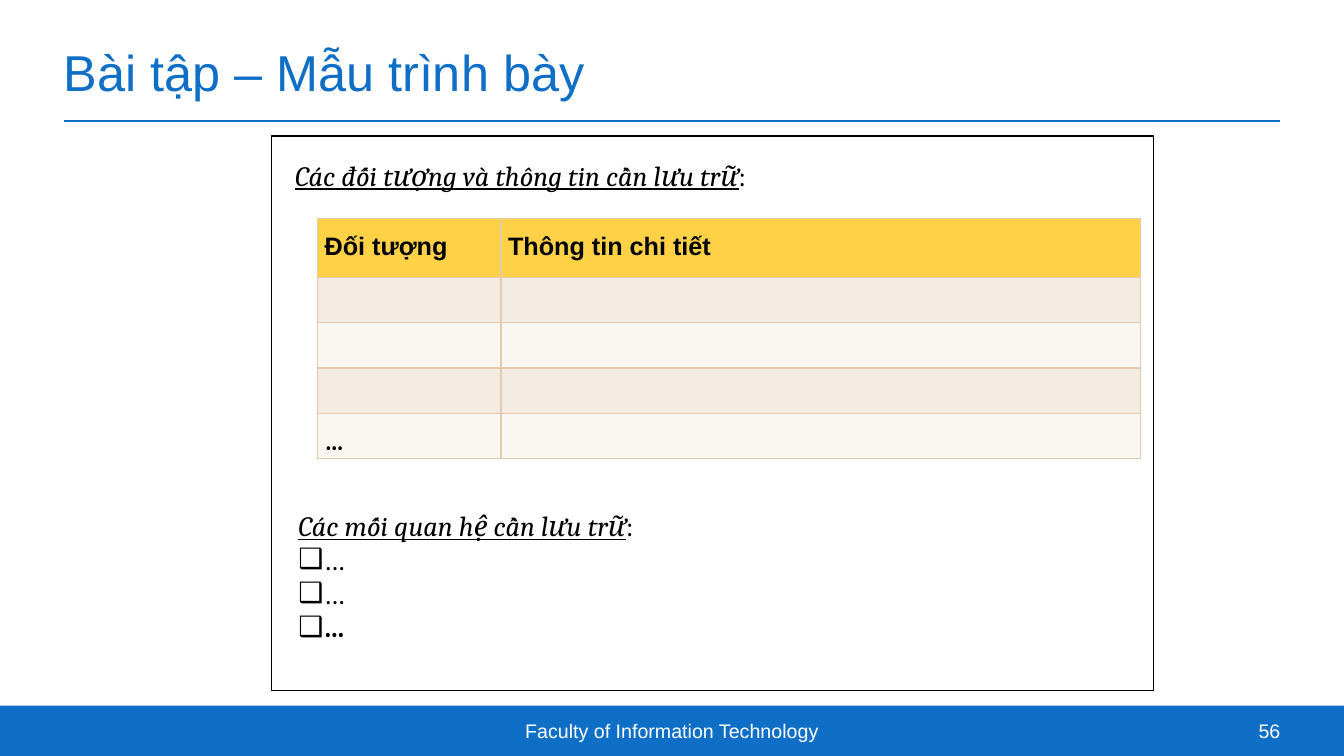
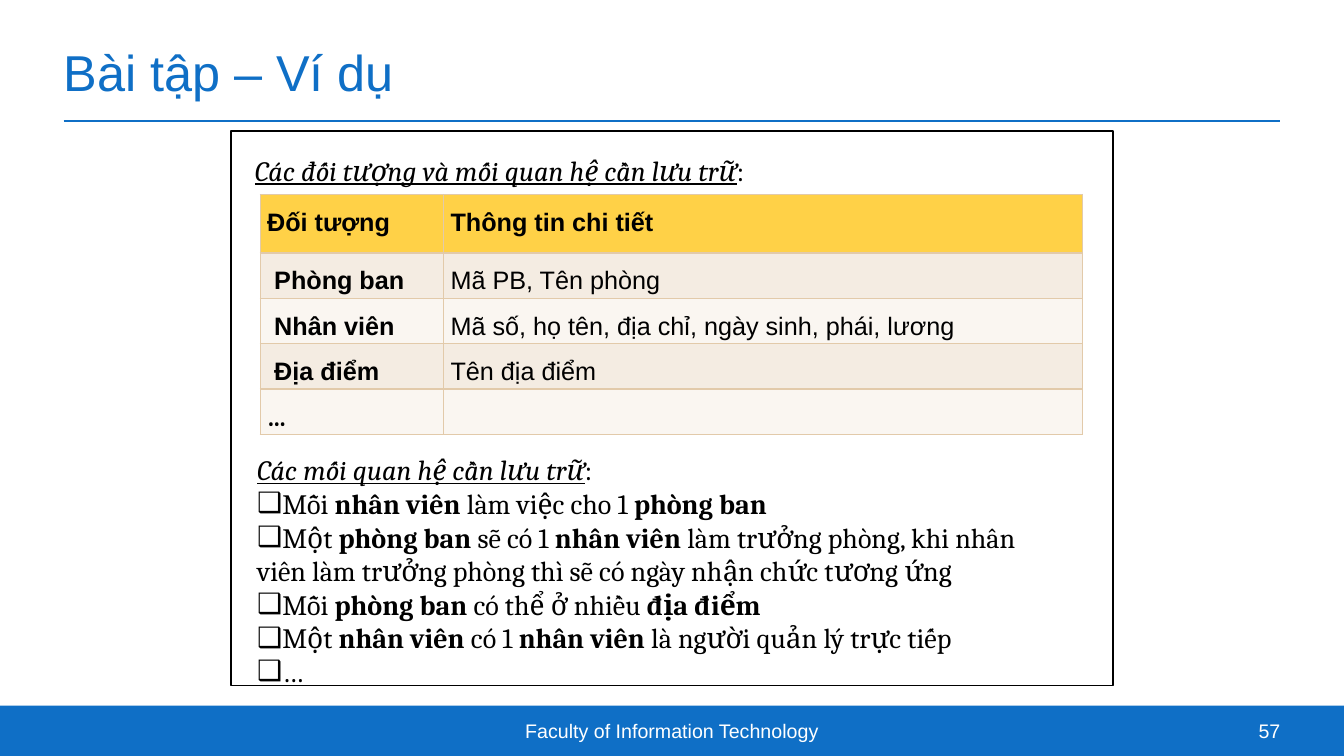
from lxml import etree
from pptx import Presentation
from pptx.dml.color import RGBColor
from pptx.enum.shapes import MSO_CONNECTOR, MSO_SHAPE
from pptx.enum.text import MSO_ANCHOR, MSO_AUTO_SIZE, PP_ALIGN
from pptx.oxml.ns import qn
from pptx.util import Inches, Pt

RECTANGLE = MSO_SHAPE.RECTANGLE
STRAIGHT = MSO_CONNECTOR.STRAIGHT
MIDDLE = MSO_ANCHOR.MIDDLE
NO_FIT = MSO_AUTO_SIZE.NONE
LEFT, CENTER, RIGHT, JUSTIFY = PP_ALIGN.LEFT, PP_ALIGN.CENTER, PP_ALIGN.RIGHT, PP_ALIGN.JUSTIFY

BLUE, WHITE, BLACK = "0F6FC6", "FFFFFF", "000000"
HEADER_FILL, BORDER = "FFD147", "E2CAAA"
ROW_FILLS = ("F4ECE2", "FAF6F1")

PAGE_WIDTH, PAGE_HEIGHT = 13.33, 7.5
MARGIN, BAND_TOP, BAND_HEIGHT = 0.63, 7, 0.5
FRAME_SIZE = (8.75, 5.5)
COLUMNS, HEADER_ROW, BODY_ROW = (1.82, 6.34), 0.58, 0.45

TITLE_FONT = {"name": "Arial", "size": Pt(36), "color": BLUE}
FOOTER_FONT = {"name": "Arial", "size": Pt(14), "color": WHITE}
CELL_FONT = {"name": "Arial", "size": Pt(18), "color": BLACK}
NOTE_FONT = {"name": "Cambria", "size": Pt(20), "color": BLACK}
HEADING_FONT = {**NOTE_FONT, "italic": True, "underline": True}

HEADERS = ("Đối tượng", "Thông tin chi tiết")
RELATIONS_HEADING = "Các mối quan hệ cần lưu trữ"
FOOTER = "Faculty of Information Technology"

PAGES = [
    {
        "number": 56,
        "title": "Bài tập – Mẫu trình bày",
        "frame": (2.69, 1.35),
        "heading": "Các đối tượng và thông tin cần lưu trữ",
        "table_offset": (0.46, 0.82),
        "rows": [("", ""), ("", ""), ("", ""), ("…", "")],
        "list_box": (0.17, 3.64, 8.26, 1.45),
        "relations": ["…", "…", "*…*"],
    },
    {
        "number": 57,
        "title": "Bài tập – Ví dụ",
        "frame": (2.29, 1.3),
        "heading": "Các đối tượng và mối quan hệ cần lưu trữ",
        "table_offset": (0.29, 0.63),
        "rows": [
            ("Phòng ban", "Mã PB, Tên phòng"),
            ("Nhân viên", "Mã số, họ tên, địa chỉ, ngày sinh, phái, lương"),
            ("Địa điểm", "Tên địa điểm"),
            ("…", ""),
        ],
        "list_box": (0.16, 3.13, 8.26, 2.46),
        "relations": [
            "Mỗi *nhân viên *làm việc cho 1 *phòng ban*",
            "Một *phòng ban *sẽ có 1 *nhân viên *làm trưởng phòng, khi nhân viên "
            "làm trưởng phòng thì sẽ có ngày nhận chức tương ứng",
            "Mỗi *phòng ban *có thể ở nhiều *địa điểm*",
            "Một *nhân viên *có 1 *nhân viên *là người quản lý trực tiếp",
            "…",
        ],
    },
]


def color(value):
    return RGBColor.from_string(value)


def add_span(para, text, style):
    span = para.add_run()
    span.text = text
    for key, value in style.items():
        if key == "color":
            span.font.color.rgb = color(value)
        else:
            setattr(span.font, key, value)


def set_frame(frame, inset=None, anchor=None):
    frame.word_wrap = True
    frame.auto_size = NO_FIT
    if anchor is not None:
        frame.vertical_anchor = anchor
    if inset is not None:
        for side in ("left", "top", "right", "bottom"):
            setattr(frame, f"margin_{side}", Inches(inset))


def place(shape, box):
    for key, value in zip(("left", "top", "width", "height"), box):
        setattr(shape, key, Inches(value))


def add_text_box(page, box):
    return page.shapes.add_textbox(*map(Inches, box)).text_frame


def add_heading(para, text):
    add_span(para, text, HEADING_FONT)
    add_span(para, ":", NOTE_FONT)


def add_rectangle(page, box):
    shape = page.shapes.add_shape(RECTANGLE, *map(Inches, box))
    shape.shadow.inherit = False
    return shape


def decorate_layout(layout, page):
    band = add_rectangle(page, (0, BAND_TOP, PAGE_WIDTH, BAND_HEIGHT))
    band.fill.solid()
    band.fill.fore_color.rgb = color(BLUE)
    band.line.fill.background()
    ends = (MARGIN, 1.2, PAGE_WIDTH - MARGIN, 1.2)
    rule = page.shapes.add_connector(STRAIGHT, *map(Inches, ends))
    rule.line.color.rgb = color(BLUE)
    rule.line.width = Pt(1)
    etree.SubElement(rule.element.spPr, qn("a:effectLst"))
    for part in (band, rule):
        layout.shapes.element.append(part.element)


def add_title(page, text):
    title = page.shapes.title
    place(title, (MARGIN, 0.23, PAGE_WIDTH - 2 * MARGIN, 0.96))
    set_frame(title.text_frame, 0, MIDDLE)
    para = title.text_frame.paragraphs[0]
    para.alignment = LEFT
    add_span(para, text, TITLE_FONT)


def add_footer(page, number):
    for left, width, text, alignment in (
        (4.44, 4.45, FOOTER, CENTER),
        (12, 0.7, str(number), RIGHT),
    ):
        frame = add_text_box(page, (left, BAND_TOP, width, BAND_HEIGHT))
        set_frame(frame, 0, MIDDLE)
        frame.paragraphs[0].alignment = alignment
        add_span(frame.paragraphs[0], text, FOOTER_FONT)


def add_outline(page, box):
    outline = add_rectangle(page, box)
    outline.fill.background()
    outline.line.color.rgb = color(BLACK)
    outline.line.width = Pt(1)


def set_borders(cell):
    properties = cell._tc.get_or_add_tcPr()
    for index, tag in enumerate(("a:lnL", "a:lnR", "a:lnT", "a:lnB")):
        line = etree.Element(qn(tag), w=str(Pt(1)))
        fill = etree.SubElement(line, qn("a:solidFill"))
        etree.SubElement(fill, qn("a:srgbClr"), val=BORDER)
        properties.insert(index, line)


def fill_cell(cell, text, fill, style, indent):
    cell.fill.solid()
    cell.fill.fore_color.rgb = color(fill)
    set_borders(cell)
    cell.margin_left, cell.margin_right = Inches(indent), Inches(0.07)
    cell.margin_top = cell.margin_bottom = 0
    para = cell.text_frame.paragraphs[0]
    para.alignment = JUSTIFY
    if text:
        para.line_spacing = 1.5
        add_span(para, text, style)


def add_object_table(page, left, top, rows):
    height = HEADER_ROW + BODY_ROW * len(rows)
    box = (left, top, sum(COLUMNS), height)
    table = page.shapes.add_table(len(rows) + 1, len(COLUMNS), *map(Inches, box)).table
    table.horz_banding = False
    for column, width in zip(table.columns, COLUMNS):
        column.width = Inches(width)
    for row_index, texts in enumerate([HEADERS, *rows]):
        header = row_index == 0
        table.rows[row_index].height = Inches(HEADER_ROW if header else BODY_ROW)
        fill = HEADER_FILL if header else ROW_FILLS[(row_index - 1) % 2]
        for column_index, text in enumerate(texts):
            name = column_index == 0 and not header
            style = {**CELL_FONT, "bold": header or name}
            if text == "…":
                style["name"] = "Cambria"
            indent = 0.14 if name and text != "…" else 0.07
            fill_cell(table.cell(row_index, column_index), text, fill, style, indent)


def set_bullet(para, symbol=None):
    properties = para._p.get_or_add_pPr()
    properties.set("marL", "0")
    properties.set("indent", "0")
    if symbol:
        etree.SubElement(properties, qn("a:buChar"), char=symbol)
    else:
        etree.SubElement(properties, qn("a:buNone"))


def add_relations(page, box, relations):
    body = page.placeholders[1]
    place(body, box)
    frame = body.text_frame
    set_frame(frame, anchor=MIDDLE)
    heading = frame.paragraphs[0]
    heading.space_before = Pt(0)
    set_bullet(heading)
    add_heading(heading, RELATIONS_HEADING)
    for relation in relations:
        para = frame.add_paragraph()
        para.space_before = Pt(0)
        set_bullet(para, "❑")
        for index, text in enumerate(relation.split("*")):
            if text:
                add_span(para, text, {**NOTE_FONT, "bold": index % 2 == 1})


def add_exercise(page, content):
    left, top = content["frame"]
    add_title(page, content["title"])
    add_footer(page, content["number"])
    add_outline(page, (left, top, *FRAME_SIZE))
    frame = add_text_box(page, (left + 0.14, top + 0.17, 6, 0.44))
    set_frame(frame)
    add_heading(frame.paragraphs[0], content["heading"])
    table_left, table_top = content["table_offset"]
    add_object_table(page, left + table_left, top + table_top, content["rows"])
    list_left, list_top, width, height = content["list_box"]
    list_box = (left + list_left, top + list_top, width, height)
    add_relations(page, list_box, content["relations"])


def main():
    deck = Presentation()
    deck.slide_width, deck.slide_height = Inches(PAGE_WIDTH), Inches(PAGE_HEIGHT)
    layout = deck.slide_layouts[1]
    pages = [deck.slides.add_slide(layout) for _ in PAGES]
    decorate_layout(layout, pages[0])
    for page, content in zip(pages, PAGES):
        add_exercise(page, content)
    deck.save("out.pptx")


if __name__ == "__main__":
    main()
